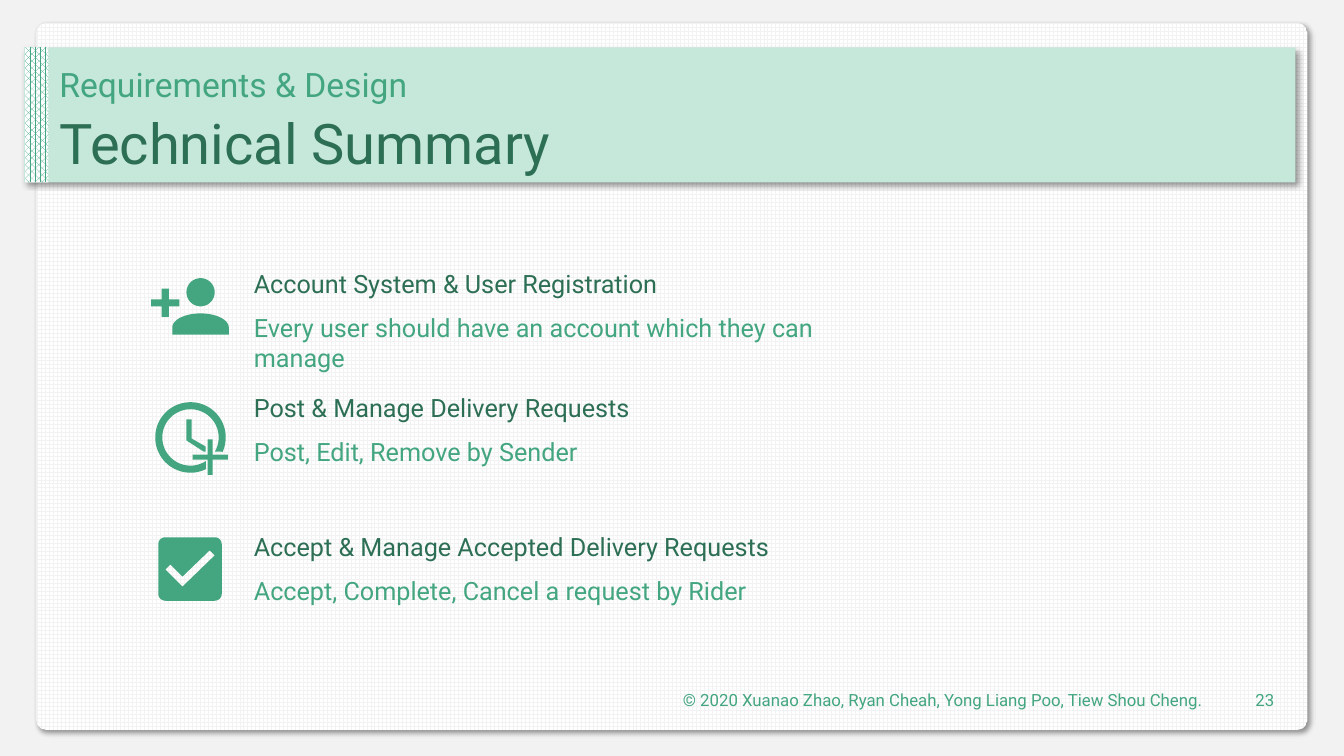
"""Build the Technical Summary slide."""
import math
from dataclasses import dataclass

from lxml import etree
from pptx import Presentation
from pptx import util as u
from pptx.dml import color
from pptx.enum import dml, shapes, text
from pptx.oxml import ns


@dataclass(frozen=True)
class Theme:
    """Colours, type sizes and font of the slide."""
    font: str = "Roboto"
    backdrop: str = "F2F2F2"
    paper: str = "FFFFFF"
    mint: str = "C6E8DB"
    green: str = "43A680"
    forest: str = "2D6F55"
    shadow: str = "000000"
    title: int = 40
    kicker: int = 24
    body: int = 18
    small: int = 12


def rgb(value):
    """Return a colour object for a hex value."""
    return color.RGBColor.from_string(value)


def arc(center, radii, start, end, steps=48):
    """Return points along an elliptical arc, with angles in degrees."""
    angles = [math.radians(start + (end - start) * i / steps) for i in range(steps + 1)]
    return [(center[0] + radii[0] * math.cos(a), center[1] + radii[1] * math.sin(a)) for a in angles]


def cross(left, top, size, arm):
    """Return the outline of a plus sign."""
    near, far = (size - arm) / 2, (size + arm) / 2
    outline = [(near, 0), (far, 0), (far, near), (size, near), (size, far), (far, far),
               (far, size), (near, size), (near, far), (0, far), (0, near), (near, near)]
    return [(left + x, top + y) for x, y in outline]


def rounded_square(side, radius):
    """Return the outline of a square with round corners."""
    low, high = radius, side - radius
    corners = [(high, high), (low, high), (low, low), (high, low)]
    return [point for i, corner in enumerate(corners)
            for point in arc(corner, (radius, radius), 90 * i, 90 * i + 90, 8)]


class SlideBuilder:
    """Draw elements on a grid of 100 columns by 100 rows."""

    def __init__(self, presentation, theme):
        """Add a title-only slide with the theme's background."""
        self.theme = theme
        self.width, self.height = presentation.slide_width, presentation.slide_height
        self.slide = presentation.slides.add_slide(presentation.slide_layouts[5])
        fill = self.slide.background.fill
        fill.solid()
        fill.fore_color.rgb = rgb(theme.backdrop)

    def place(self, columns, rows):
        """Convert grid columns and rows to lengths."""
        return u.Emu(round(columns * self.width / 100)), u.Emu(round(rows * self.height / 100))

    def box(self, left, top, width, height):
        """Convert a grid box to four lengths."""
        return *self.place(left, top), *self.place(width, height)

    def paint(self, shape, fill_color, pattern=None, back_color=None):
        """Fill a shape and remove its line and shadow."""
        shape.shadow.inherit = False
        shape.line.fill.background()
        if pattern is None:
            shape.fill.solid()
        else:
            shape.fill.patterned()
            shape.fill.pattern = pattern
            shape.fill.back_color.rgb = rgb(back_color)
        shape.fill.fore_color.rgb = rgb(fill_color)

    def panel(self, grid_box, fill_color, pattern=None, corner=None, raised=False):
        """Draw a panel, optionally patterned, rounded or raised."""
        kind = shapes.MSO_SHAPE.RECTANGLE if corner is None else shapes.MSO_SHAPE.ROUNDED_RECTANGLE
        shape = self.slide.shapes.add_shape(kind, *self.box(*grid_box))
        if corner is not None:
            shape.adjustments[0] = corner
        self.paint(shape, fill_color, pattern, self.theme.paper)
        if raised:
            effects = shape.element.spPr.find(ns.qn("a:effectLst"))
            shadow = etree.SubElement(effects, ns.qn("a:outerShdw"), blurRad=str(u.Pt(4)),
                                      dist=str(u.Pt(3)), dir=str(45 * 60000), algn="tl", rotWithShape="0")
            tint = etree.SubElement(shadow, ns.qn("a:srgbClr"), val=self.theme.shadow)
            etree.SubElement(tint, ns.qn("a:alpha"), val="40000")

    def set_text(self, shape, words, size, ink, anchor, align, spacing, grow):
        """Fill a text shape with one formatted run."""
        frame = shape.text_frame
        frame.word_wrap = True
        frame.auto_size = text.MSO_AUTO_SIZE.SHAPE_TO_FIT_TEXT if grow else text.MSO_AUTO_SIZE.NONE
        frame.vertical_anchor = anchor
        paragraph = frame.paragraphs[0]
        paragraph.alignment = align
        paragraph.line_spacing = spacing
        run = paragraph.add_run()
        run.text = words
        run.font.name = self.theme.font
        run.font.size = u.Pt(size)
        run.font.color.rgb = rgb(ink)

    def label(self, grid_box, words, size, ink, anchor=text.MSO_ANCHOR.TOP,
              align=text.PP_ALIGN.LEFT, spacing=1.0, grow=False):
        """Add a text box."""
        shape = self.slide.shapes.add_textbox(*self.box(*grid_box))
        self.set_text(shape, words, size, ink, anchor, align, spacing, grow)

    def title(self, grid_box, words):
        """Move the title placeholder to the front and fill it."""
        shape = self.slide.shapes.title
        shape.element.getparent().append(shape.element)
        shape.left, shape.top, shape.width, shape.height = self.box(*grid_box)
        self.set_text(shape, words, self.theme.title, self.theme.forest,
                      text.MSO_ANCHOR.BOTTOM, text.PP_ALIGN.LEFT, 0.9, False)

    def icon(self, left, top, *contours):
        """Draw contours measured in 750ths of the slide height."""
        origin_x, origin_y = self.place(left, top)
        unit = self.height / 750
        outlines = [[(round(origin_x + x * unit), round(origin_y + y * unit)) for x, y in contour]
                    for contour in contours]
        builder = self.slide.shapes.build_freeform(*outlines[0][0], scale=1.0)
        for index, outline in enumerate(outlines):
            if index:
                builder.move_to(*outline[0])
            builder.add_line_segments(outline[1:], close=True)
        self.paint(builder.convert_to_shape(), self.theme.green)


def main():
    """Create and save the presentation."""
    presentation = Presentation()
    presentation.slide_width, presentation.slide_height = u.Inches(13.33), u.Inches(7.5)
    theme = Theme()
    page = SlideBuilder(presentation, theme)

    page.panel((2.7, 3.07, 94.58, 93.47), theme.backdrop, dml.MSO_PATTERN.LARGE_GRID, 0.014, True)
    page.panel((1.8, 6.27, 94.58, 17.87), theme.mint, raised=True)
    page.panel((1.88, 6.27, 1.73, 17.87), theme.green, dml.MSO_PATTERN.PERCENT_70)
    page.label((3.68, 7.2, 92.63, 7.33), "Requirements & Design", theme.kicker, theme.green,
               text.MSO_ANCHOR.BOTTOM, spacing=0.9)
    page.title((3.68, 14.53, 92.63, 9.47), "Technical Summary")

    footers = [
        (40.8, 49.43, "© 2020 Xuanao Zhao, Ryan Cheah, Yong Liang Poo, Tiew Shou Cheng."),
        (91.13, 4.43, "23"),
    ]
    for left, width, words in footers:
        page.label((left, 89.87, width, 5.33), words, theme.small, theme.green,
                   text.MSO_ANCHOR.MIDDLE, text.PP_ALIGN.RIGHT)

    requirements = [
        (34.8, "Account System & User Registration",
         "Every user should have an account which they can manage"),
        (51.2, "Post & Manage Delivery Requests", "Post, Edit, Remove by Sender"),
        (69.6, "Accept & Manage Accepted Delivery Requests",
         "Accept, Complete, Cancel a request by Rider"),
    ]
    for top, heading, detail in requirements:
        page.label((18.15, top, 51.38, 5.33), heading, theme.body, theme.forest, grow=True)
        page.label((18.15, top + 5.8, 50.03, 5.33), detail, theme.body, theme.green, grow=True)

    head = arc((49, 14), (14, 14), 0, 360)
    shoulders = arc((49, 49), (28, 14), 180, 360) + [(77, 56), (21, 56)]
    page.icon(11.25, 36.8, head, cross(0, 10.5, 28, 7), shoulders)

    clock = (11.55, 53.2)
    ring = arc((35, 35), (35, 35), 64, 384) + arc((35, 35), (28, 28), 390, 57)
    hands = [(31, 17), (36, 17), (36, 36), (50, 44), (50, 49), (48, 49), (31, 38)]
    for part in (cross(37, 37, 35, 5), ring, hands):
        page.icon(*clock, part)

    tick = [(24, 49), (7, 32), (12, 27), (24, 39), (51, 13), (56, 18)]
    page.icon(11.78, 71.07, rounded_square(63, 7), tick)

    presentation.save("out.pptx")


if __name__ == "__main__":
    main()
